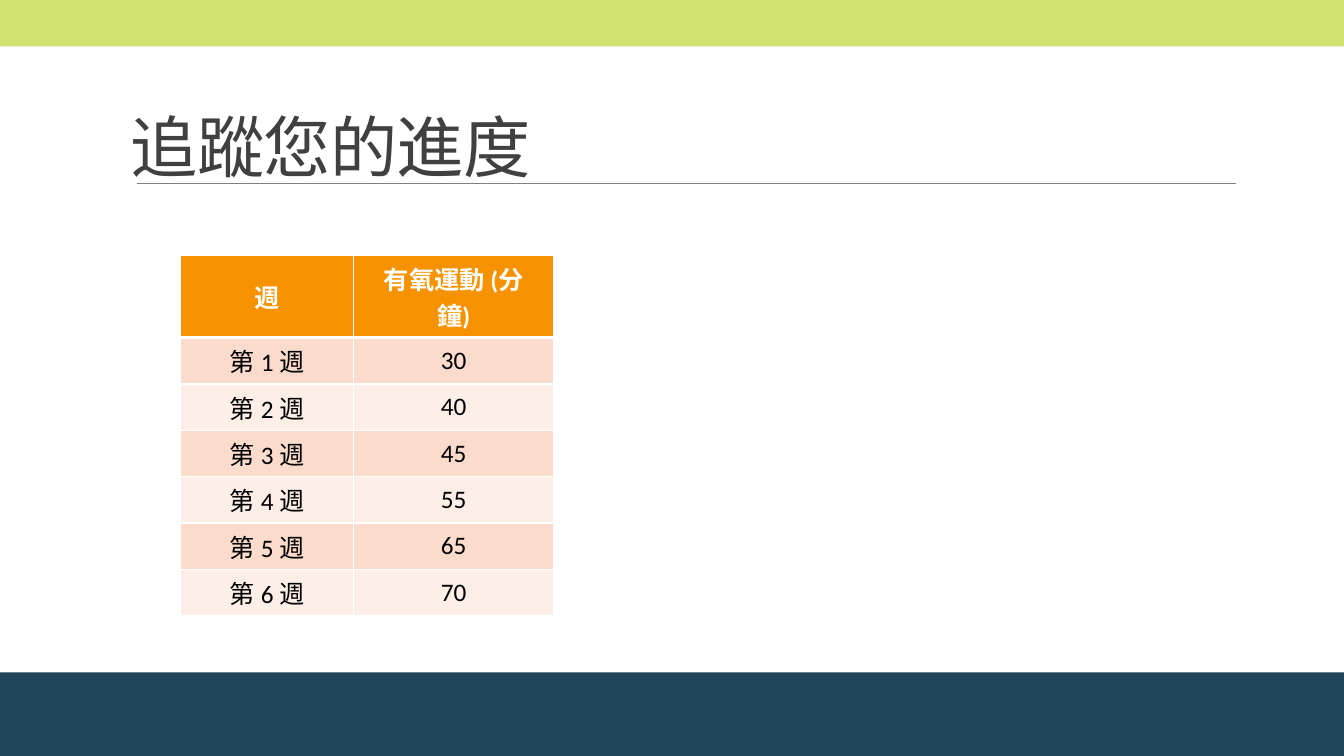
"""Build the progress tracking slide with its weekly aerobic exercise table."""
from pptx import Presentation
from pptx import util as u
from pptx.dml.color import RGBColor
from pptx.enum import shapes, text
from pptx.oxml import ns, parse_xml


def color(value):
    return RGBColor.from_string(value)


def style_paragraph(paragraph, size, hex_color, bold=False):
    paragraph.font.name = "Calibri"
    paragraph.font.size = u.Pt(size)
    paragraph.font.bold = bold
    paragraph.font.color.rgb = color(hex_color)


presentation = Presentation()
presentation.slide_width = u.Inches(13.33)
presentation.slide_height = u.Inches(7.5)
slide = presentation.slides.add_slide(presentation.slide_layouts[6])

for top, height, fill in [(6.67, 0.83, "20455A"), (0, 0.46, "D3E171")]:
    band = slide.shapes.add_shape(
        shapes.MSO_SHAPE.RECTANGLE, 0, u.Inches(top), presentation.slide_width, u.Inches(height))
    band.shadow.inherit = False
    band.fill.solid()
    band.fill.fore_color.rgb = color(fill)
    band.line.fill.background()

rule = slide.shapes.add_connector(
    shapes.MSO_CONNECTOR.STRAIGHT, u.Inches(1.36), u.Inches(1.82), u.Inches(12.26), u.Inches(1.82))
rule.line.color.rgb = color("808080")
rule.line.width = u.Pt(0.5)
rule._element.spPr.append(parse_xml(f"<a:effectLst {ns.nsdecls('a')}/>"))

title = slide.shapes.add_textbox(u.Inches(1.2), u.Inches(0.31), u.Inches(11), u.Inches(1.59))
title.text_frame.word_wrap = True
title.text_frame.vertical_anchor = text.MSO_ANCHOR.BOTTOM
title.text_frame.text = "追蹤您的進度"
title_paragraph = title.text_frame.paragraphs[0]
title_paragraph.line_spacing = 0.85
style_paragraph(title_paragraph, 48, "404040")
title_paragraph.runs[0]._r.get_or_add_rPr().set("spc", "-50")

minutes = [30, 40, 45, 55, 65, 70]
rows = [("週", "有氧運動 (分鐘)")]
rows += [(f"第 {week} 週", str(value)) for week, value in enumerate(minutes, 1)]
header_height, week_height = 0.82, 0.46
table_height = header_height + week_height * len(minutes)
table = slide.shapes.add_table(
    len(rows), 2, u.Inches(1.79), u.Inches(2.53), u.Inches(3.7), u.Inches(table_height)).table
for column, width in zip(table.columns, (1.72, 1.98)):
    column.width = u.Inches(width)

for row_index, row in enumerate(rows):
    is_header = row_index == 0
    table.rows[row_index].height = u.Inches(header_height if is_header else week_height)
    fill = "F69200" if is_header else ("FDEEE7", "FBDCCC")[row_index % 2]
    for column_index, label in enumerate(row):
        cell = table.cell(row_index, column_index)
        cell.text = label
        cell.vertical_anchor = text.MSO_ANCHOR.MIDDLE
        cell.margin_left = cell.margin_right = u.Inches(0.16)
        cell.margin_top = cell.margin_bottom = u.Inches(0.05)
        paragraph = cell.text_frame.paragraphs[0]
        paragraph.alignment = text.PP_ALIGN.CENTER
        style_paragraph(paragraph, 18, "FFFFFF" if is_header else "000000", is_header)
        for side in "LRTB":
            thick = (side == "B" and is_header) or (side == "T" and row_index == 1)
            cell._tc.get_or_add_tcPr().append(parse_xml(
                f'<a:ln{side} {ns.nsdecls("a")} w="{u.Pt(3 if thick else 1)}">'
                f'<a:solidFill><a:srgbClr val="FFFFFF"/></a:solidFill></a:ln{side}>'))
        cell.fill.solid()
        cell.fill.fore_color.rgb = color(fill)

presentation.save("out.pptx")
